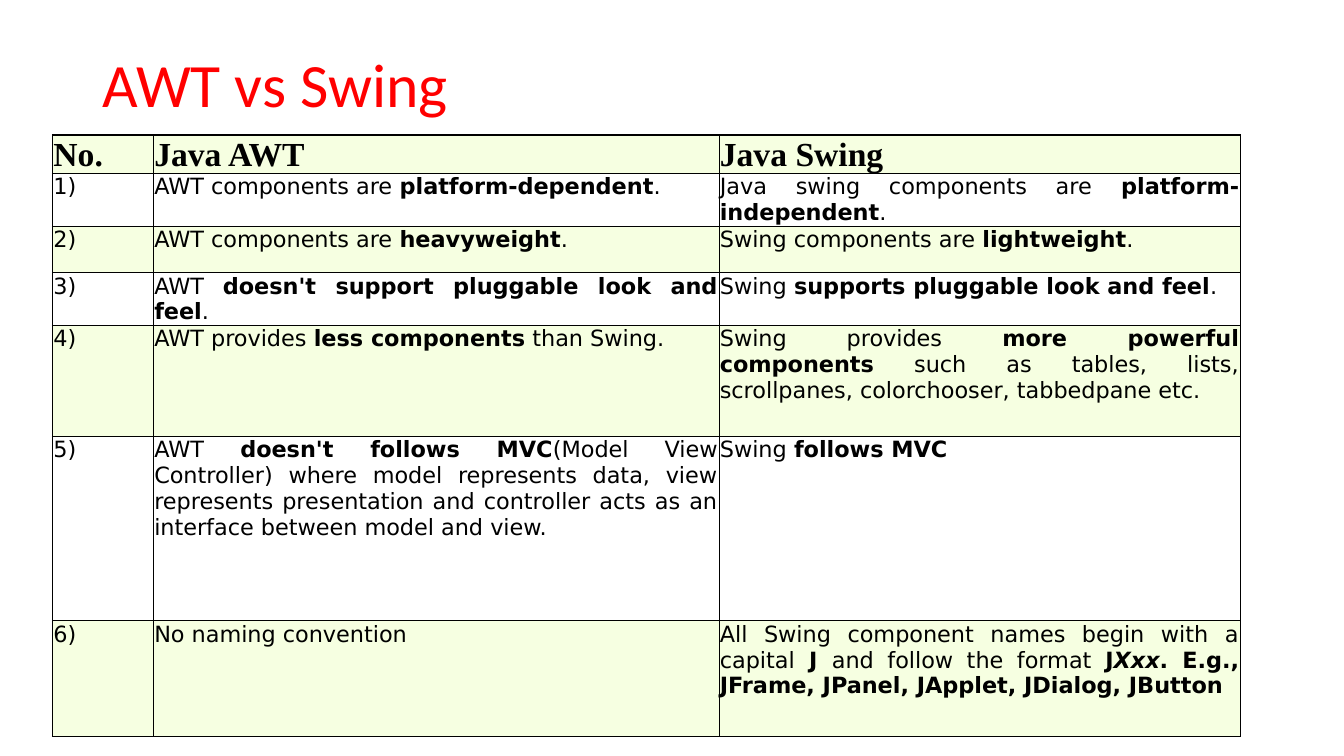
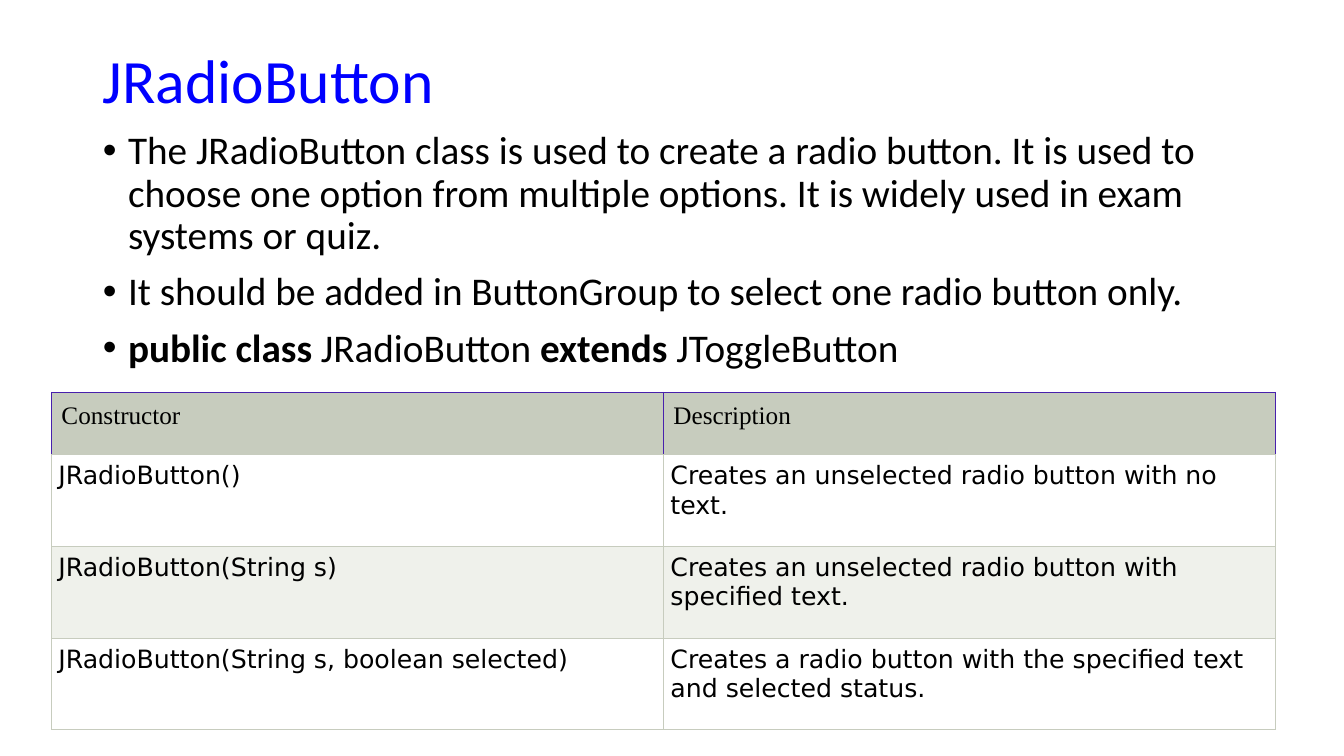
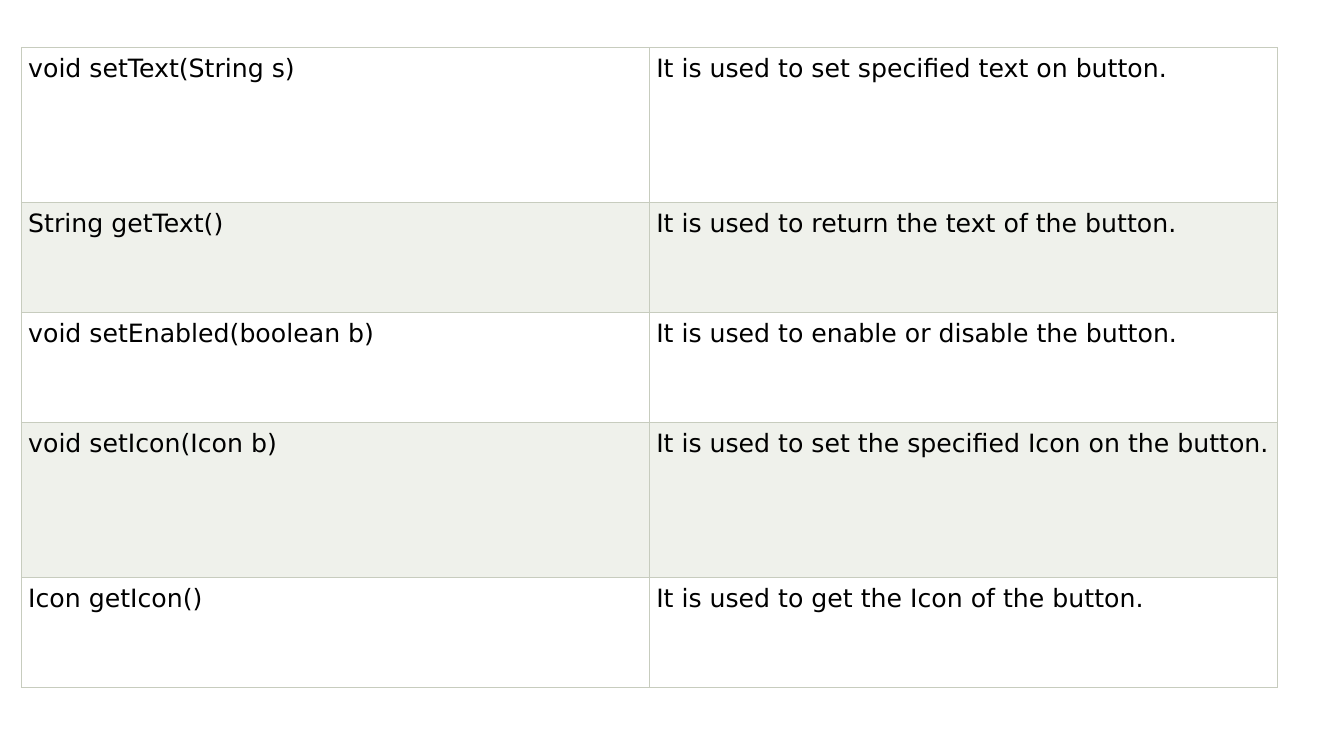
from lxml import etree
from pptx import Presentation
from pptx import util as u
from pptx.dml.color import RGBColor
from pptx.enum import text
from pptx.oxml import ns

PX = 9144  # EMU, 100 px to the inch
SLIDE = (1333, 750)

BLACK = RGBColor(0x00, 0x00, 0x00)
WHITE = RGBColor(0xFF, 0xFF, 0xFF)
RED = RGBColor(0xFF, 0x00, 0x00)
BLUE = RGBColor(0x00, 0x00, 0xFF)
LIME = RGBColor(0xF6, 0xFF, 0xE1)
SAGE = RGBColor(0xC7, 0xCC, 0xBE)
PALE_SAGE = RGBColor(0xEF, 0xF1, 0xEB)
PURPLE = RGBColor(0x48, 0x20, 0xAD)

SANS, SERIF, HEADING = "DejaVu Sans", "Times New Roman", "Calibri"
JUSTIFY = text.PP_ALIGN.JUSTIFY

# In texts, | switches bold on and off and ~ switches italic.
COMPARISON = [
    ("No.", "Java AWT", "Java Swing"),
    ("1)", "AWT components are |platform-dependent|.",
     "Java swing components are |platform-independent|."),
    ("2)", "AWT components are |heavyweight|.",
     "Swing components are |lightweight|."),
    ("3)", "AWT |doesn't support pluggable look and feel|.",
     "Swing |supports pluggable look and feel|."),
    ("4)", "AWT provides |less components| than Swing.",
     "Swing provides |more powerful components| such as tables, lists, "
     "scrollpanes, colorchooser, tabbedpane etc."),
    ("5)", "AWT |doesn't follows MVC|(Model View Controller) where model represents "
     "data, view represents presentation and controller acts as an interface "
     "between model and view.",
     "Swing |follows MVC|"),
    ("6)", "No naming convention",
     "All Swing component names begin with a capital| J |and follow the format "
     "|J~Xxx~. E.g., JFrame, JPanel, JApplet, JDialog, JButton|"),
]
RADIO_POINTS = [
    "The JRadioButton class is used to create a radio button. It is used to choose "
    "one option from multiple options. It is widely used in exam systems or quiz.",
    "It should be added in ButtonGroup to select one radio button only.",
    "|public class |JRadioButton |extends |JToggleButton",
]
CONSTRUCTORS = [
    ("Constructor", "Description"),
    ("JRadioButton()", "Creates an unselected radio button with no text."),
    ("JRadioButton(String s)", "Creates an unselected radio button with specified text."),
    ("JRadioButton(String s, boolean selected)",
     "Creates a radio button with the specified text and selected status."),
]
METHODS = [
    ("void setText(String s)", "It is used to set specified text on button."),
    ("String getText()", "It is used to return the text of the button."),
    ("void setEnabled(boolean b)", "It is used to enable or disable the button."),
    ("void setIcon(Icon b)", "It is used to set the specified Icon on the button."),
    ("Icon getIcon()", "It is used to get the Icon of the button."),
]

COMPARISON_STYLE = dict(
    bands=(WHITE, LIME), outer=(BLACK, 1), inner=(BLACK, 0.5),
    margins=(1, 1, 1, 0), body=dict(size=16, font=SANS, align=JUSTIFY),
    header=dict(fill=LIME, margins=(1, 1, 1, 0),
                format=dict(size=24, font=SERIF, bold=True)))
REFERENCE_STYLE = dict(
    bands=(WHITE, PALE_SAGE), outer=(SAGE, 0.6), inner=(SAGE, 0.6),
    margins=(7, 7, 7, 7), body=dict(size=18, font=SANS))
CONSTRUCTOR_HEADER = dict(fill=SAGE, margins=(10, 10, 10, 10), edge=(PURPLE, 0.6),
                          format=dict(size=18, font=SERIF))


def place(sp, left, top, width, height):
    sp.left, sp.top, sp.width, sp.height = (v * PX for v in (left, top, width, height))


def write(tf, paragraphs, size, font, color=BLACK, bold=False, align=None,
          spacing=None, before=None, bullet=False):
    for n, words in enumerate(paragraphs):
        p = tf.paragraphs[0] if n == 0 else tf.add_paragraph()
        p.alignment = align
        p.line_spacing = spacing
        if before is not None:
            p.space_before = u.Pt(before)
        if bullet:
            pPr = p._p.get_or_add_pPr()
            pPr.set("marL", str(25 * PX))
            pPr.set("indent", str(-25 * PX))
            etree.SubElement(pPr, ns.qn("a:buFont")).set("typeface", "Arial")
            etree.SubElement(pPr, ns.qn("a:buChar")).set("char", "•")
        for i, part in enumerate(words.split("|")):
            for j, piece in enumerate(part.split("~")):
                if piece:
                    r = p.add_run()
                    r.text = piece
                    r.font.size, r.font.name = u.Pt(size), font
                    r.font.bold = bold or i % 2 == 1
                    r.font.italic = j % 2 == 1
                    r.font.color.rgb = color


def add_title(slide, words, color, height):
    title = slide.shapes.title
    place(title, 92, 40, 1150, height)
    tf = title.text_frame
    tf.auto_size = text.MSO_AUTO_SIZE.NONE
    tf.vertical_anchor = text.MSO_ANCHOR.MIDDLE
    write(tf, [words], size=44, font=HEADING, color=color,
          align=text.PP_ALIGN.LEFT, spacing=0.9)


def set_border(cell, side, color, width):
    ln = etree.SubElement(cell._tc.get_or_add_tcPr(), ns.qn("a:ln" + side),
                          w=str(int(u.Pt(width))))
    fill = etree.SubElement(ln, ns.qn("a:solidFill"))
    etree.SubElement(fill, ns.qn("a:srgbClr")).set("val", str(color))


def add_grid(slide, left, top, cols, rows, cells, bands, outer, inner, margins, body,
             header=None):
    """Add a table with banded rows; header, if given, formats the first row."""
    frame = slide.shapes.add_table(len(rows), len(cols), left * PX, top * PX,
                                   sum(cols) * PX, sum(rows) * PX)
    table = frame.table
    table.first_row = table.horz_banding = False
    for column, width in zip(table.columns, cols):
        column.width = width * PX
    first_band = 1 if header else 0
    for y, height in enumerate(rows):
        table.rows[y].height = height * PX
        head = header if y < first_band else None
        for x, words in enumerate(cells[y]):
            cell = table.cell(y, x)
            on_edge = dict(L=x == 0, R=x == len(cols) - 1,
                           T=y == 0, B=y == len(rows) - 1)
            for side, is_outer in on_edge.items():
                line = outer if is_outer else inner
                if head and side != "B":
                    line = head.get("edge", line)
                set_border(cell, side, *line)
            cell.fill.solid()
            cell.fill.fore_color.rgb = head["fill"] if head else bands[(y - first_band) % 2]
            (cell.margin_left, cell.margin_right, cell.margin_top, cell.margin_bottom) = (
                m * PX for m in (head["margins"] if head else margins))
            write(cell.text_frame, [words], **(head["format"] if head else body))


def main():
    prs = Presentation()
    prs.slide_width, prs.slide_height = (v * PX for v in SLIDE)
    title_content, title_only, blank = (prs.slide_layouts[n] for n in (1, 5, 6))

    s = prs.slides.add_slide(title_only)
    add_title(s, "AWT vs Swing", RED, 94)
    add_grid(s, 52, 134, (100, 561, 517), (30, 46, 46, 46, 110, 183, 115),
             COMPARISON, **COMPARISON_STYLE)

    s = prs.slides.add_slide(title_content)
    add_title(s, "JRadioButton", BLUE, 85)
    points = s.placeholders[1]
    place(points, 92, 125, 1150, 551)
    points.text_frame.auto_size = text.MSO_AUTO_SIZE.NONE
    write(points.text_frame, RADIO_POINTS, size=28, font=HEADING,
          spacing=0.9, before=10, bullet=True)
    add_grid(s, 51, 389, (607, 607), (62, 91, 91, 91), CONSTRUCTORS,
             header=CONSTRUCTOR_HEADER, **REFERENCE_STYLE)

    s = prs.slides.add_slide(blank)
    add_grid(s, 21, 47, (623, 623), (154, 109, 109, 154, 109), METHODS, **REFERENCE_STYLE)

    prs.save("out.pptx")


if __name__ == "__main__":
    main()
